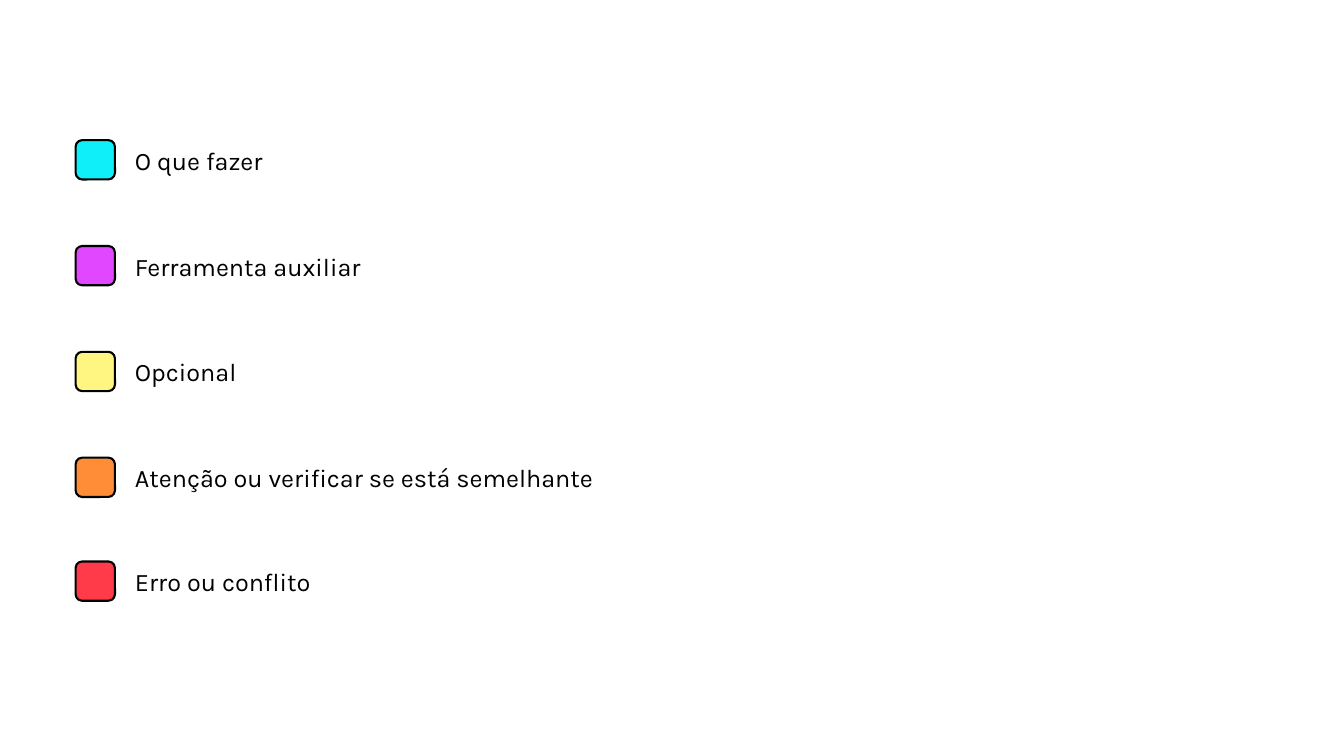
from pptx import Presentation
from pptx.dml.color import RGBColor
from pptx.enum.shapes import MSO_SHAPE as Shape
from pptx.enum.text import MSO_AUTO_SIZE as AutoSize
from pptx.util import Emu, Pt

EMU_PER_PX = 9144
SWATCH_LEFT, SWATCH_SIZE = 75, 39
LABEL_LEFT, LABEL_HEIGHT = 124, 40
LEGEND = [
    (139, "0EEFFA", "O que fazer", 259),
    (244, "E047FF", "Ferramenta auxiliar", 259),
    (349, "FFF681", "Opcional", 259),
    (454, "FF8D37", "Atenção ou verificar se está semelhante", 592),
    (557, "FF3B49", "Erro ou conflito", 422),
]


def px(*lengths):
    """Turn pixel lengths into EMU."""
    return [Emu(length * EMU_PER_PX) for length in lengths]


def color(hex_code):
    """Turn a hex string into a colour."""
    return RGBColor.from_string(hex_code)


def add_swatch(page, top, fill):
    """Draw one outlined colour key."""
    swatch = page.shapes.add_shape(
        Shape.ROUNDED_RECTANGLE, *px(SWATCH_LEFT, top, SWATCH_SIZE, SWATCH_SIZE))
    swatch.shadow.inherit = False
    swatch.fill.solid()
    swatch.fill.fore_color.rgb = color(fill)
    swatch.line.color.rgb = color("000000")
    swatch.line.width = Pt(1.5)


def add_label(page, top, text, width):
    """Write the meaning beside a colour key."""
    box = page.shapes.add_textbox(*px(LABEL_LEFT, top, width, LABEL_HEIGHT))
    box.text_frame.word_wrap = True
    box.text_frame.auto_size = AutoSize.SHAPE_TO_FIT_TEXT
    para = box.text_frame.paragraphs[0]
    para.text = text
    para.font.name = "Karla"
    para.font.size = Pt(18)
    para.font.color.rgb = color("000000")


def main():
    """Build the colour legend slide."""
    deck = Presentation()
    deck.slide_width, deck.slide_height = px(1333, 750)
    page = deck.slides.add_slide(deck.slide_layouts[6])
    for top, fill, text, width in LEGEND:
        add_swatch(page, top, fill)
        add_label(page, top, text, width)
    deck.save("out.pptx")


if __name__ == "__main__":
    main()
